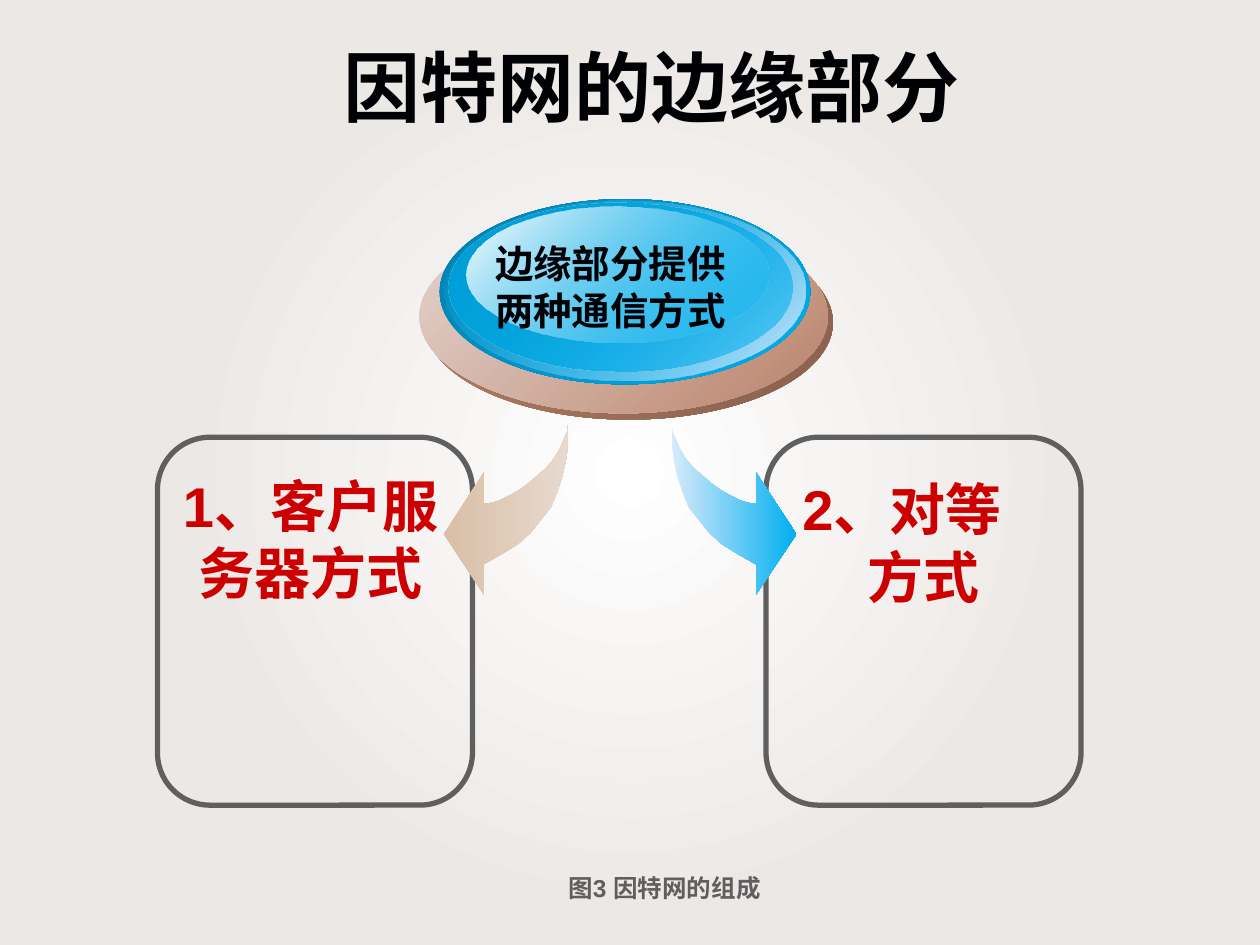
"""Build the slide on the edge of the Internet and its two ways of communicating."""
from lxml.etree import SubElement
from pptx import Presentation
from pptx.dml.color import RGBColor
from pptx.enum.shapes import MSO_SHAPE
from pptx.enum.text import MSO_ANCHOR, MSO_AUTO_SIZE, PP_ALIGN
from pptx.oxml import parse_xml
from pptx.oxml.ns import nsdecls, qn
from pptx.util import Inches, Pt

THEME = dict(
    latin="Arial", cjk="Noto Sans CJK SC",
    ink="000104", red="CC0000", gray="5F5F5F",
    title=44, mode=32, hub=22, caption=14,
    backdrop=[(0, "FFFFFF"), (57, "ECE8E5"), (100, "ECE8E5")],
    tan=("D9BFA7", "E8D9CD"), sky=("D8EAFA", "00B0F0"),
)
TITLE = "因特网的边缘部分"
HUB = ["边缘部分提供", "两种通信方式"]
CLIENT = ["1、客户服务器方式"]
PEER = ["2、对等", "方式"]
CAPTION = [("图3 ", THEME["latin"]), ("因特网的组成", THEME["cjk"])]

DISCS = [
    ((3.37, 1.79, 3.24, 1.54), ("BA836A", "88604D"), (100, 100)),
    ((3.33, 1.74, 3.24, 1.54), ("E4D4CF", "BA836A"), (100, 100)),
    ((3.49, 1.58, 2.94, 1.47), ("007EAC", "00B0F0"), (100, 100)),
    ((3.53, 1.59, 2.86, 1.43), ("00B0F0", "D4E7FA"), (0, 100)),
    ((3.56, 1.61, 2.73, 1.34), ("009FD9", "00B0F0"), (100, 48)),
    ((3.7, 1.64, 2.4, 1.08), ("FFFFFF", "00B0F0"), (100, 38)),
]
CARD_LEFTS = [1.25, 6.08]
ARROW = [
    (4.51, 3.36), (4.51, 3.52), (4.49, 3.66), (4.46, 3.79), (4.42, 3.91),
    (4.37, 4.03), (4.29, 4.13), (4.21, 4.23), (4.11, 4.32), (3.98, 4.4),
    (3.84, 4.48), (3.84, 4.72), (3.52, 4.24), (3.84, 3.75), (3.84, 4),
    (3.91, 3.99), (3.97, 3.97), (4.05, 3.93), (4.12, 3.89), (4.19, 3.84),
    (4.26, 3.78), (4.33, 3.72), (4.39, 3.65), (4.44, 3.57), (4.47, 3.5),
    (4.5, 3.43),
]
MIRROR = 9.84


def paint(sp, colors, angle=0, alphas=(100, 100)):
    sp.shadow.inherit = False
    sp.line.fill.background()
    sp.fill.gradient()
    sp.fill.gradient_angle = -angle % 360
    for i, stop in enumerate(sp.fill.gradient_stops):
        stop.position = i
        stop.color.rgb = RGBColor.from_string(colors[i])
    for clr, alpha in zip(sp._element.spPr.iter(qn("a:srgbClr")), alphas):
        if alpha < 100:
            SubElement(clr, qn("a:alpha")).set("val", str(alpha * 1000))


def set_backdrop(slide, stops):
    slide.background.fill.solid()
    bg_pr = slide._element.cSld.find(qn("p:bg")).find(qn("p:bgPr"))
    gs = "".join(f'<a:gs pos="{pos * 1000}"><a:srgbClr val="{color}"/></a:gs>'
                 for pos, color in stops)
    grad = parse_xml(
        f'<a:gradFill {nsdecls("a")} rotWithShape="1"><a:gsLst>{gs}</a:gsLst>'
        '<a:path path="circle"><a:fillToRect l="50000" t="50000" r="50000" b="50000"/>'
        '</a:path></a:gradFill>')
    bg_pr.replace(bg_pr[0], grad)


def add_run(p, text, size, color, latin=THEME["latin"]):
    r = p.add_run()
    r.text = text
    r.font.name, r.font.size, r.font.bold = latin, Pt(size), True
    r.font.color.rgb = RGBColor.from_string(color)
    SubElement(r._r.get_or_add_rPr(), qn("a:ea")).set("typeface", THEME["cjk"])


def add_text(slide, box, paragraphs, size, color, align=PP_ALIGN.CENTER, indents=()):
    tf = slide.shapes.add_textbox(*map(Inches, box)).text_frame
    tf.word_wrap = True
    tf.auto_size = MSO_AUTO_SIZE.SHAPE_TO_FIT_TEXT
    for i, runs in enumerate(paragraphs):
        p = tf.paragraphs[0] if i == 0 else tf.add_paragraph()
        p.alignment = align
        if i < len(indents):
            p._p.get_or_add_pPr().set("marL", str(Inches(indents[i])))
        for text, latin in runs:
            add_run(p, text, size, color, latin)


def plain(lines):
    return [[(line, THEME["latin"])] for line in lines]


def add_card(slide, left):
    sp = slide.shapes.add_shape(MSO_SHAPE.ROUNDED_RECTANGLE,
                                *map(Inches, (left, 3.47, 2.5, 2.92)))
    sp.shadow.inherit = False
    sp.fill.background()
    sp.line.color.rgb = RGBColor.from_string(THEME["gray"])
    sp.line.width = Pt(3)


def add_arrow(slide, points, colors):
    pts = [(Inches(x), Inches(y)) for x, y in points]
    builder = slide.shapes.build_freeform(*pts[0])
    builder.add_line_segments(pts[1:], close=True)
    paint(builder.convert_to_shape(), colors)


def set_title(slide):
    sp = slide.shapes.title
    sp.left, sp.top, sp.width, sp.height = map(Inches, (0.54, 0.22, 8.98, 1.02))
    tf = sp.text_frame
    tf.vertical_anchor = MSO_ANCHOR.MIDDLE
    tf.margin_left = Inches(0.38)
    p = tf.paragraphs[0]
    p.alignment, p.line_spacing = PP_ALIGN.CENTER, 0.9
    add_run(p, TITLE, THEME["title"], THEME["ink"], THEME["cjk"])


def main():
    prs = Presentation()
    prs.slide_width, prs.slide_height = Inches(10), Inches(7.5)
    s = prs.slides.add_slide(prs.slide_layouts[5])
    set_backdrop(s, THEME["backdrop"])
    set_title(s)
    for left in CARD_LEFTS:
        add_card(s, left)
    add_arrow(s, ARROW, THEME["tan"])
    add_arrow(s, [(MIRROR - x, y) for x, y in ARROW], THEME["sky"])
    for box, colors, alphas in DISCS:
        sp = s.shapes.add_shape(MSO_SHAPE.OVAL, *map(Inches, box))
        paint(sp, colors, 45, alphas)
    add_text(s, (3.58, 1.86, 2.53, 0.83), plain(HUB), THEME["hub"], THEME["ink"])
    add_text(s, (1.35, 3.69, 2.23, 1.72), plain(CLIENT), THEME["mode"], THEME["red"])
    add_text(s, (6.27, 3.72, 2.23, 1.18), plain(PEER), THEME["mode"], THEME["red"],
             align=PP_ALIGN.LEFT, indents=(0, 0.52))
    add_text(s, (3.36, 6.88, 3.83, 0.35), [CAPTION], THEME["caption"], THEME["gray"])
    prs.save("out.pptx")


if __name__ == "__main__":
    main()
